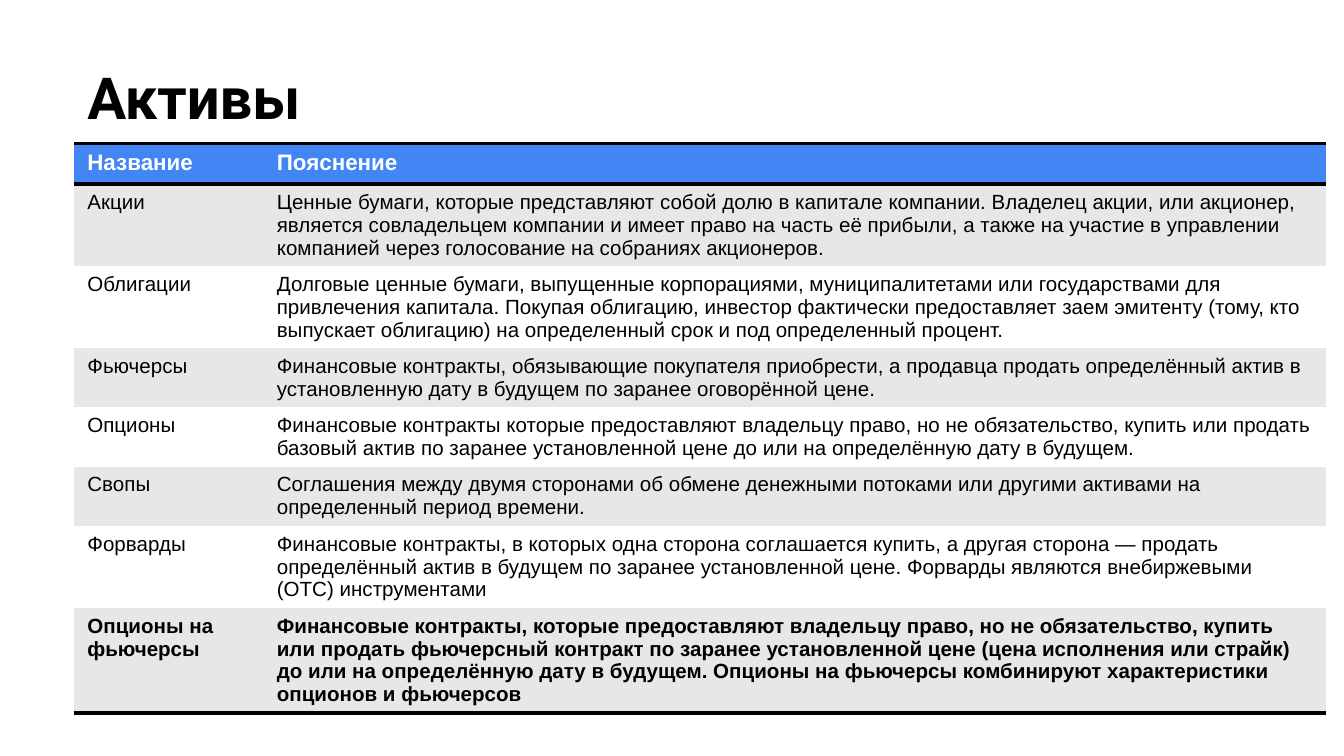
from lxml import etree
from pptx import Presentation
from pptx.dml.color import RGBColor as Rgb
from pptx.enum import text
from pptx.oxml import ns
from pptx.util import Pt

# Content
HEAD = "Активы"
ROWS = [
    ("Название", "Пояснение"),
    ("Акции", "Ценные бумаги, которые представляют собой долю в капитале компании. Владелец акции, или акционер, является совладельцем компании и имеет право на часть её прибыли, а также на участие в управлении компанией через голосование на собраниях акционеров."),
    ("Облигации", "Долговые ценные бумаги, выпущенные корпорациями, муниципалитетами или государствами для привлечения капитала. Покупая облигацию, инвестор фактически предоставляет заем эмитенту (тому, кто выпускает облигацию) на определенный срок и под определенный процент."),
    ("Фьючерсы", "Финансовые контракты, обязывающие покупателя приобрести, а продавца продать определённый актив в установленную дату в будущем по заранее оговорённой цене."),
    ("Опционы", "Финансовые контракты которые предоставляют владельцу право, но не обязательство, купить или продать базовый актив по заранее установленной цене до или на определённую дату в будущем."),
    ("Свопы", "Соглашения между двумя сторонами об обмене денежными потоками или другими активами на определенный период времени."),
    ("Форварды", "Финансовые контракты, в которых одна сторона соглашается купить, а другая сторона — продать определённый актив в будущем по заранее установленной цене. Форварды являются внебиржевыми (OTC) инструментами"),
    ("Опционы на фьючерсы", "Финансовые контракты, которые предоставляют владельцу право, но не обязательство, купить или продать фьючерсный контракт по заранее установленной цене (цена исполнения или страйк) до или на определённую дату в будущем. Опционы на фьючерсы комбинируют характеристики опционов и фьючерсов"),
]


class Theme:
    ink, white, blue, gray = "000000", "FFFFFF", "4285F4", "E7E7E7"
    title, head, body = 31, 12, 11
    display, sans = "Roboto", "Arial"
    rule = 2


# Layout, in points
LEFT, TOP, WIDE = 39.6, 77.04, 671.04
COLS = (101.52, 569.52)
HEAD_H, ROW_H = 21.6, 30.96
LAST = len(ROWS) - 1
RULES = {0, 1, LAST + 1}  # row edges drawn as black lines


def write(frame, words, font, size, color, bold):
    para = frame.paragraphs[0]
    para.alignment = text.PP_ALIGN.LEFT
    run = para.add_run()
    run.text = words
    run.font.name, run.font.size, run.font.bold = font, Pt(size), bold
    run.font.color.rgb = Rgb.from_string(color)


def border(cell, side, shown):
    props = cell._tc.get_or_add_tcPr()
    line = etree.SubElement(props, ns.qn("a:ln" + side))
    if shown:
        line.set("w", str(Pt(Theme.rule)))
        fill = etree.SubElement(line, ns.qn("a:solidFill"))
        etree.SubElement(fill, ns.qn("a:srgbClr"), val=Theme.ink)
    else:
        etree.SubElement(line, ns.qn("a:noFill"))


def main():
    deck = Presentation()
    deck.slide_width, deck.slide_height = Pt(720), Pt(405)
    slide = deck.slides.add_slide(deck.slide_layouts[5])

    # Title
    title = slide.shapes.title
    title.left, title.top = Pt(LEFT), Pt(25.92)
    title.width, title.height = Pt(WIDE), Pt(77.04)
    frame = title.text_frame
    frame.margin_left = frame.margin_right = Pt(7.2)
    frame.margin_top = frame.margin_bottom = Pt(7.2)
    frame.vertical_anchor = text.MSO_ANCHOR.TOP
    frame.auto_size = text.MSO_AUTO_SIZE.NONE
    write(frame, HEAD, Theme.display, Theme.title, Theme.ink, True)

    # Table of assets
    grid = slide.shapes.add_table(
        len(ROWS), len(COLS), Pt(LEFT), Pt(TOP), Pt(WIDE),
        Pt(HEAD_H + LAST * ROW_H)).table
    for col, wide in zip(grid.columns, COLS):
        col.width = Pt(wide)
    for i, row in enumerate(ROWS):
        top = i == 0
        grid.rows[i].height = Pt(HEAD_H if top else ROW_H)
        back = Theme.blue if top else Theme.gray if i % 2 else Theme.white
        for j, words in enumerate(row):
            cell = grid.cell(i, j)
            for side, shown in (("L", False), ("R", False),
                                ("T", i in RULES), ("B", i + 1 in RULES)):
                border(cell, side, shown)
            cell.fill.solid()
            cell.fill.fore_color.rgb = Rgb.from_string(back)
            write(cell.text_frame, words, Theme.sans,
                  Theme.head if top else Theme.body,
                  Theme.white if top else Theme.ink, i in (0, LAST))

    deck.save("out.pptx")


if __name__ == "__main__":
    main()
